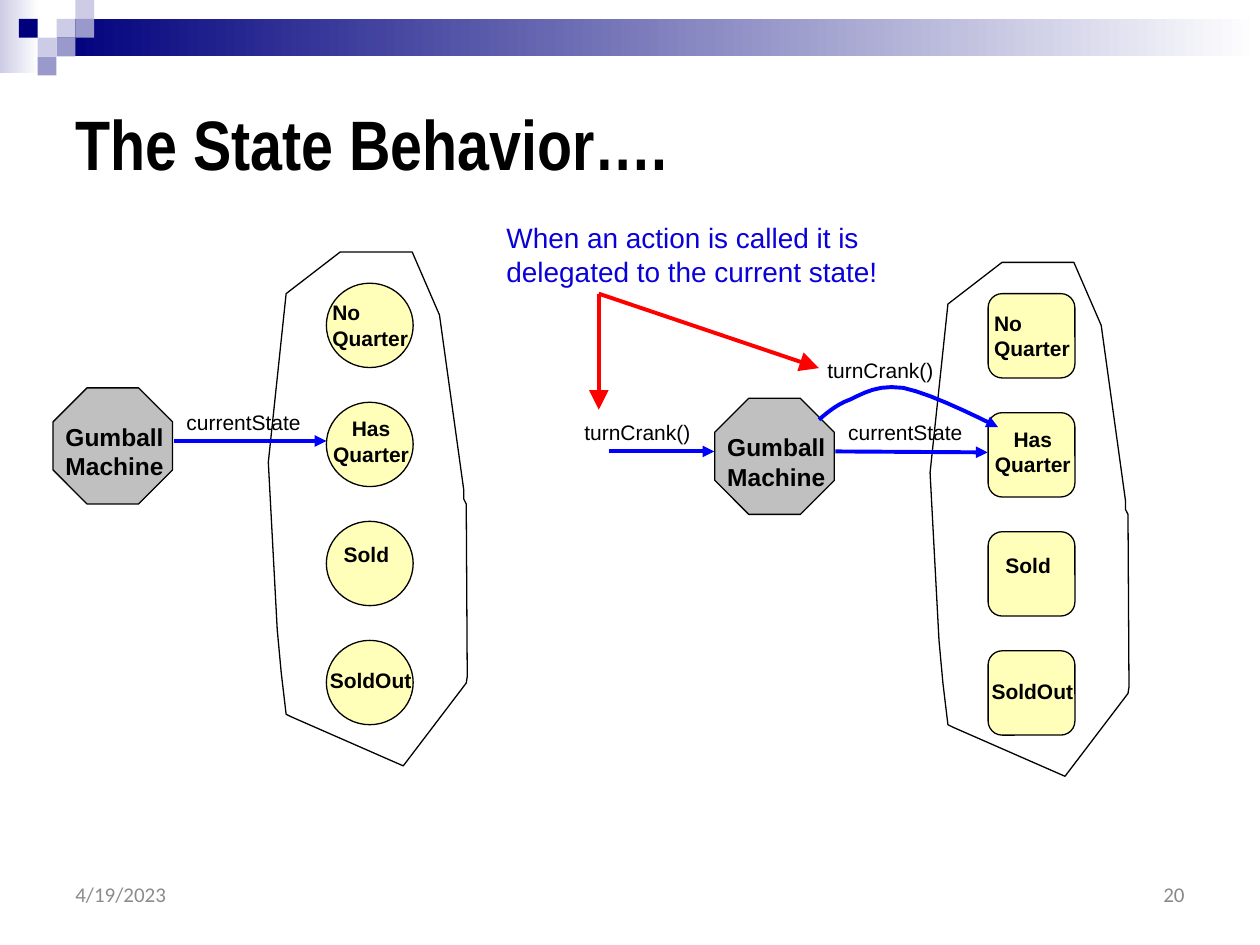
"""Build the slide that shows how a gumball machine delegates actions to its state."""
from lxml import etree
from pptx import Presentation
from pptx.dml.color import RGBColor
from pptx.enum.shapes import MSO_CONNECTOR, MSO_SHAPE
from pptx.enum.text import MSO_ANCHOR, MSO_AUTO_SIZE, PP_ALIGN
from pptx.oxml.ns import qn
from pptx.util import Cm, Pt

STRAIGHT = MSO_CONNECTOR.STRAIGHT
RECTANGLE, OCTAGON = MSO_SHAPE.RECTANGLE, MSO_SHAPE.OCTAGON
OVAL, ROUNDED = MSO_SHAPE.OVAL, MSO_SHAPE.ROUNDED_RECTANGLE
TOP, MIDDLE, BOTTOM = MSO_ANCHOR.TOP, MSO_ANCHOR.MIDDLE, MSO_ANCHOR.BOTTOM
LEFT, CENTER, RIGHT = PP_ALIGN.LEFT, PP_ALIGN.CENTER, PP_ALIGN.RIGHT
GROW = MSO_AUTO_SIZE.SHAPE_TO_FIT_TEXT

BLACK = RGBColor(0x00, 0x00, 0x00)
WHITE = RGBColor(0xFF, 0xFF, 0xFF)
NAVY = RGBColor(0x00, 0x00, 0x7D)
LAVENDER = RGBColor(0xCC, 0xCC, 0xE6)
VIOLET = RGBColor(0x99, 0x99, 0xCC)
DATE_GRAY = RGBColor(0x8C, 0x8C, 0x8C)
NUMBER_GRAY = RGBColor(0x89, 0x89, 0x89)
SILVER = RGBColor(0xC0, 0xC0, 0xC0)
CREAM = RGBColor(0xFF, 0xFF, 0xB9)
INDIGO = RGBColor(0x0A, 0x00, 0xD8)
BLUE = RGBColor(0x00, 0x00, 0xFF)
RED = RGBColor(0xFF, 0x00, 0x00)

deck = Presentation()
deck.slide_width, deck.slide_height = Cm(25.4), Cm(19.05)
page = deck.slides.add_slide(deck.slide_layouts[6])
shapes = page.shapes


def add_text(lines, left, top, width, height, size=12, bold=False, color=BLACK,
             font="Arial", align=LEFT, anchor=TOP, wrap=True, grow=True):
    box = shapes.add_textbox(Cm(left), Cm(top), Cm(width), Cm(height))
    frame = box.text_frame
    frame.word_wrap = wrap
    frame.vertical_anchor = anchor
    if grow:
        frame.auto_size = GROW
    frame.text = lines
    for para in frame.paragraphs:
        para.alignment = align
        para.font.name, para.font.size, para.font.bold = font, Pt(size), bold
        para.font.color.rgb = color


def style_arrow(arrow, color, head="med"):
    arrow.line.color.rgb = color
    arrow.line.width = Pt(2.25)
    properties = arrow._element.spPr
    etree.SubElement(properties.find(qn("a:ln")), qn("a:tailEnd"),
                     type="triangle", w=head, len=head)
    etree.SubElement(properties, qn("a:effectLst"))


for left, top, width, height, start in [(0, 0, 0.79, 1.47, LAVENDER),
                                        (1.14, 0.38, 24.26, 0.76, NAVY)]:
    band = shapes.add_shape(RECTANGLE, Cm(left), Cm(top), Cm(width), Cm(height))
    band.shadow.inherit = False
    band.line.fill.background()
    band.fill.gradient()
    band.fill.gradient_angle = 0
    for stop, position, color in zip(band.fill.gradient_stops, (0, 1), (start, WHITE)):
        stop.position = position
        stop.color.rgb = color

TILE = 0.38
for column, row, color in [(3, 1, LAVENDER), (4, 0, LAVENDER), (4, 1, VIOLET),
                           (2, 2, LAVENDER), (1, 1, NAVY), (3, 2, VIOLET), (2, 3, VIOLET)]:
    tile = shapes.add_shape(RECTANGLE, Cm(column * TILE), Cm(row * TILE), Cm(TILE), Cm(TILE))
    tile.shadow.inherit = False
    tile.fill.solid()
    tile.fill.fore_color.rgb = color
    tile.line.fill.background()

add_text("The State Behavior….", 1.27, 1.17, 22.86, 2.67, size=40, bold=True,
         font="Arial Narrow", anchor=BOTTOM, grow=False)
add_text("4/19/2023", 1.27, 17.58, 5.92, 0.89, color=DATE_GRAY,
         font="Calibri", anchor=MIDDLE, grow=False)
add_text("20", 18.21, 17.58, 5.92, 0.89, color=NUMBER_GRAY,
         font="Calibri", align=RIGHT, anchor=MIDDLE, grow=False)
add_text("When an action is called it is delegated to the current state!",
         9.96, 4.32, 8.89, 1.63, size=16, color=INDIGO)

STATE_LABELS = [("No\nQuarter", 6.45, 5.92, 2.06, 1.3, LEFT),
                ("Has\nQuarter", 6.45, 8.26, 2.06, 1.3, CENTER),
                ("Sold", 6.68, 10.8, 1.45, 0.76, LEFT),
                ("SoldOut", 6.4, 13.34, 2.18, 0.76, LEFT)]
BOUNDARY = [(6.86, 5.08), (5.77, 5.92), (5.41, 9.32), (5.59, 12.7), (5.67, 13.56),
            (5.77, 14.4), (5.87, 14.45), (8.13, 15.44), (9.4, 13.77), (9.42, 13.64),
            (9.4, 10.16), (9.35, 10.06), (9.35, 9.88), (8.86, 6.35), (8.31, 5.08)]

for right, down, state_shape in [(0, 0, OVAL), (13.34, 0.21, ROUNDED)]:
    bodies = [(OCTAGON, 1.07, 7.82, 2.41, 2.34, SILVER)]
    bodies += [(state_shape, 6.58, 5.71 + 2.4 * row, 1.75, 1.7, CREAM) for row in range(4)]
    for kind, left, top, width, height, color in bodies:
        body = shapes.add_shape(kind, Cm(left + right), Cm(top + down), Cm(width), Cm(height))
        body.shadow.inherit = False
        body.fill.solid()
        body.fill.fore_color.rgb = color
        body.line.color.rgb = BLACK
        body.line.width = Pt(0.75)
    add_text("Gumball\nMachine", 1.07 + right, 8.38 + down, 2.51, 1.45,
             size=14, bold=True, wrap=False)
    for label, left, top, width, height, align in STATE_LABELS:
        add_text(label, left + right, top + down, width, height,
                 bold=True, align=align, wrap=False)

    corners = [(Cm(x + right), Cm(y + down)) for x, y in BOUNDARY]
    builder = shapes.build_freeform(*corners[0])
    builder.add_line_segments(corners[1:], close=True)
    boundary = builder.convert_to_shape()
    boundary.shadow.inherit = False
    boundary.fill.background()
    boundary.line.color.rgb = BLACK
    boundary.line.width = Pt(0.75)
    add_text("currentState", 3.51 + right, 8.13 + down, 3.18, 0.76)

add_text("turnCrank()", 11.53, 8.33, 3.07, 0.76)
add_text("turnCrank()", 16.43, 7.09, 2.87, 0.76)

for x1, y1, x2, y2, color, head in [(3.51, 8.89, 6.58, 8.89, BLUE, "med"),
                                    (16.84, 9.1, 19.91, 9.12, BLUE, "med"),
                                    (12.27, 9.1, 14.4, 9.1, BLUE, "med"),
                                    (12.07, 5.92, 12.07, 8.26, RED, "lg"),
                                    (12.07, 5.92, 16.51, 7.42, RED, "lg")]:
    connector = shapes.add_connector(STRAIGHT, Cm(x1), Cm(y1), Cm(x2), Cm(y2))
    style_arrow(connector, color, head)

CURVE = [(16.51, 8.46), (16.69, 8.31), (16.87, 8.15), (17.15, 8.05), (17.42, 7.92),
         (17.7, 7.75), (18.21, 7.82), (18.69, 7.92), (19.41, 8.26), (20.12, 8.61)]
STEPS = 6
curve_points = []
for first in range(0, len(CURVE) - 1, 3):
    for step in range(1, STEPS + 1):
        t = step / STEPS
        weights = ((1 - t) ** 3, 3 * t * (1 - t) ** 2, 3 * t ** 2 * (1 - t), t ** 3)
        controls = CURVE[first:first + 4]
        curve_points.append(tuple(
            Cm(sum(weight * point[axis] for weight, point in zip(weights, controls)))
            for axis in (0, 1)))
builder = shapes.build_freeform(Cm(CURVE[0][0]), Cm(CURVE[0][1]))
builder.add_line_segments(curve_points, close=False)
crank_arrow = builder.convert_to_shape()
crank_arrow.fill.background()
style_arrow(crank_arrow, BLUE)

deck.save("out.pptx")
